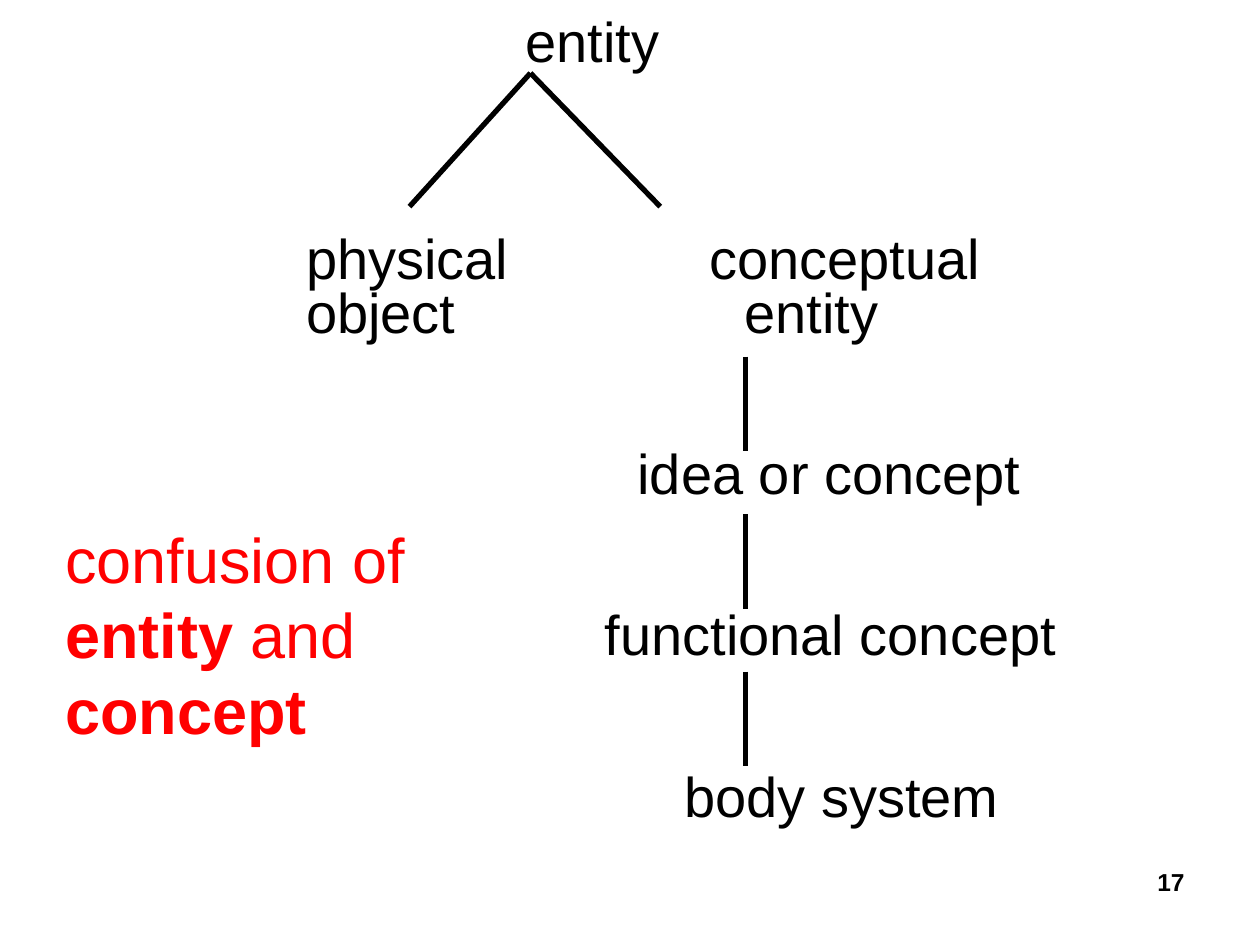
from pptx import Presentation
from pptx import util as u
from pptx.dml import color
from pptx.enum import shapes, text
from lxml import etree

NS = "http://schemas.openxmlformats.org/drawingml/2006/main"


def tint(code):
    return color.RGBColor.from_string(code)


class Deck:
    """Holds the style and the current slide."""

    face = "Arial"
    ink = "000000"
    red = "FF0000"

    def __init__(self, wide, high):
        self.show = Presentation()
        self.show.slide_width = u.Inches(wide)
        self.show.slide_height = u.Inches(high)
        self.page = self.show.slides.add_slide(self.show.slide_layouts[6])

    def label(self, box, lines, size=32, hue=ink, pad=(0, 0), gap=1, dent=0,
              side=text.PP_ALIGN.LEFT):
        frame = self.page.shapes.add_textbox(*map(u.Inches, box)).text_frame
        form = {"word_wrap": True, "margin_left": u.Inches(pad[0]),
                "margin_right": u.Inches(pad[0]), "margin_top": u.Inches(pad[1]),
                "margin_bottom": u.Inches(pad[1])}
        for name, value in form.items():
            setattr(frame, name, value)
        for row, runs in enumerate(lines):
            para = frame.paragraphs[0] if row == 0 else frame.add_paragraph()
            if row and dent:
                para._p.get_or_add_pPr().set("marL", str(u.Inches(dent)))
            para.alignment = side
            para.line_spacing = gap
            for words, bold in runs:
                run = para.add_run()
                run.text = words
                look = {"name": self.face, "size": u.Pt(size), "bold": bold}
                for name, value in look.items():
                    setattr(run.font, name, value)
                run.font.color.rgb = tint(hue)

    def line(self, start, end, width):
        ends = map(u.Inches, (*start, *end))
        link = self.page.shapes.add_connector(shapes.MSO_CONNECTOR.STRAIGHT, *ends)
        link.line.color.rgb = tint(self.ink)
        link.line.width = u.Pt(width)
        etree.SubElement(link._element.spPr, f"{{{NS}}}effectLst")

    def save(self):
        self.show.save("out.pptx")


def main():
    deck = Deck(10, 7.5)
    deck.label((4.17, 0.05, 1.5, 0.51), [[("entity", False)]])
    deck.label((2.43, 1.88, 2, 0.85),
               [[("physical", False)], [("object", False)]], gap=0.8)
    deck.label((5.63, 1.88, 2.6, 0.85),
               [[("conceptual", False)], [("entity", False)]], gap=0.8, dent=0.28)

    chain = [(5.06, "idea or concept"), (4.8, "functional concept"),
             (5.43, "body system")]
    for step, (left, words) in enumerate(chain):
        deck.label((left, 3.48 + 1.28 * step, 4, 0.51), [[(words, False)]])
        top = 2.83 + 1.25 * step
        deck.line((5.92, top), (5.92, top + 0.75), 2.75)

    for foot in (5.24, 3.25):
        deck.line((4.21, 0.58), (foot, 1.64), 3)

    deck.label((0.42, 4.08, 3.03, 1.9),
               [[("confusion of", False)], [("entity ", True), ("and", False)],
                [("concept", True)]],
               size=36, hue=deck.red, pad=(0.1, 0.05))
    deck.label((7.17, 6.83, 2.33, 0.52), [[("17", True)]], size=14,
               pad=(0.1, 0.05), side=text.PP_ALIGN.RIGHT)
    deck.save()


if __name__ == "__main__":
    main()
